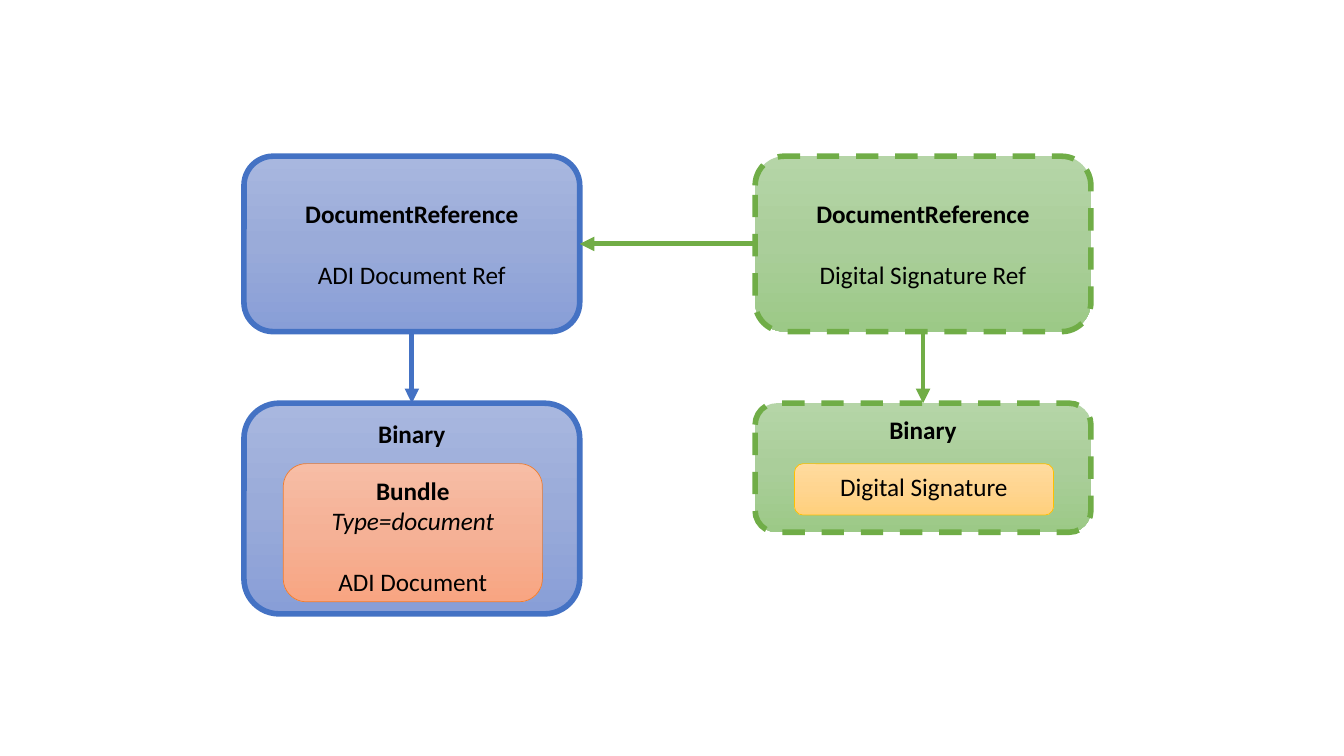
import copy

import pptx
import pptx.dml.color
import pptx.enum.dml
import pptx.enum.shapes
import pptx.enum.text
import pptx.oxml
import pptx.oxml.ns
import pptx.util

PX = 9144
TOP, LEFT, LOW = 0, 1, 2
RIGHT = 3
INK = {
    "text": "000000",
    "blue": "4472C4",
    "green": "70AD47",
    "arrow": "71AD46",
    "orange": "ED7D31",
    "gold": "FFC000",
}
FADE = {
    "blue": ("A8B7DF", "9AABD9", "889ED7"),
    "green": ("B5D5A7", "AACE9A", "9CC987"),
    "orange": ("F7BDA5", "F5B196", "F8A582"),
    "gold": ("FFDB9E", "FFD590", "FFD07C"),
}


def px(num):
    return pptx.util.Emu(num * PX)


def rgb(code):
    return pptx.dml.color.RGBColor.from_string(code)


def shade(shape, codes):
    shape.fill.gradient()
    shape.fill.gradient_angle = 270
    stops = shape.element.spPr.find(".//" + pptx.oxml.ns.qn("a:gsLst"))
    stops.insert(1, copy.deepcopy(stops[0]))
    for stop, code, spot in zip(shape.fill.gradient_stops, codes, (0, 0.5, 1)):
        stop.color.rgb = rgb(code)
        stop.position = spot


def write(shape, text, first=False, bold=False, slant=False, gap=0):
    frame = shape.text_frame
    para = frame.paragraphs[0] if first else frame.add_paragraph()
    para.alignment = pptx.enum.text.PP_ALIGN.CENTER
    para.space_before = pptx.util.Pt(gap)
    run = para.add_run()
    run.text = text
    run.font.name = "Calibri"
    run.font.size = pptx.util.Pt(18)
    run.font.bold = bold
    run.font.italic = slant
    run.font.color.rgb = rgb(INK["text"])


def box(slide, area, hue, width, dash=False, mid=False):
    kind = pptx.enum.shapes.MSO_SHAPE.ROUNDED_RECTANGLE
    shape = slide.shapes.add_shape(kind, *map(px, area))
    shape.shadow.inherit = False
    shade(shape, FADE[hue])
    shape.line.color.rgb = rgb(INK[hue])
    shape.line.width = pptx.util.Pt(width)
    if dash:
        shape.line.dash_style = pptx.enum.dml.MSO_LINE.DASH
    anchor = pptx.enum.text.MSO_ANCHOR
    shape.text_frame.vertical_anchor = anchor.MIDDLE if mid else anchor.TOP
    return shape


def arrow(slide, start, side, end, goal, hue):
    kind = pptx.enum.shapes.MSO_CONNECTOR.STRAIGHT
    line = slide.shapes.add_connector(kind, 0, 0, 0, 0)
    line.begin_connect(start, side)
    line.end_connect(end, goal)
    line.line.color.rgb = rgb(INK[hue])
    line.line.width = pptx.util.Pt(3.5)
    head = pptx.oxml.parse_xml(
        f'<a:tailEnd {pptx.oxml.ns.nsdecls("a")} type="triangle"/>')
    line.line._get_or_add_ln().append(head)
    line.element.spPr.append(
        pptx.oxml.parse_xml(f'<a:effectLst {pptx.oxml.ns.nsdecls("a")}/>'))


def column(slide, left, hue, tint, title, tall, dash=False):
    """Draw a reference box above its binary box, joined by an arrow."""
    ref = box(slide, (left, 155, 333, 174), hue, 4, dash, mid=True)
    write(ref, "DocumentReference", first=True, bold=True)
    write(ref, title, gap=22)
    store = box(slide, (left, 400, 333, tall), hue, 4, dash)
    write(store, "Binary", first=True, bold=True)
    arrow(slide, ref, LOW, store, TOP, tint)
    return ref


def main():
    deck = pptx.Presentation()
    deck.slide_width = pptx.util.Inches(13.33)
    deck.slide_height = pptx.util.Inches(7.5)
    slide = deck.slides.add_slide(deck.slide_layouts[6])

    adi = column(slide, 242, "blue", "blue", "ADI Document Ref", 209)
    bundle = box(slide, (281, 460, 257, 137), "orange", 0.5)
    write(bundle, "Bundle", first=True, bold=True)
    write(bundle, "Type=document", slant=True)
    write(bundle, "ADI Document", gap=22)

    sign = column(slide, 749, "green", "arrow", "Digital Signature Ref", 128,
                  dash=True)
    seal = box(slide, (788, 460, 257, 51), "gold", 0.5)
    write(seal, "Digital Signature", first=True)
    arrow(slide, sign, LEFT, adi, RIGHT, "arrow")

    deck.save("out.pptx")


if __name__ == "__main__":
    main()
